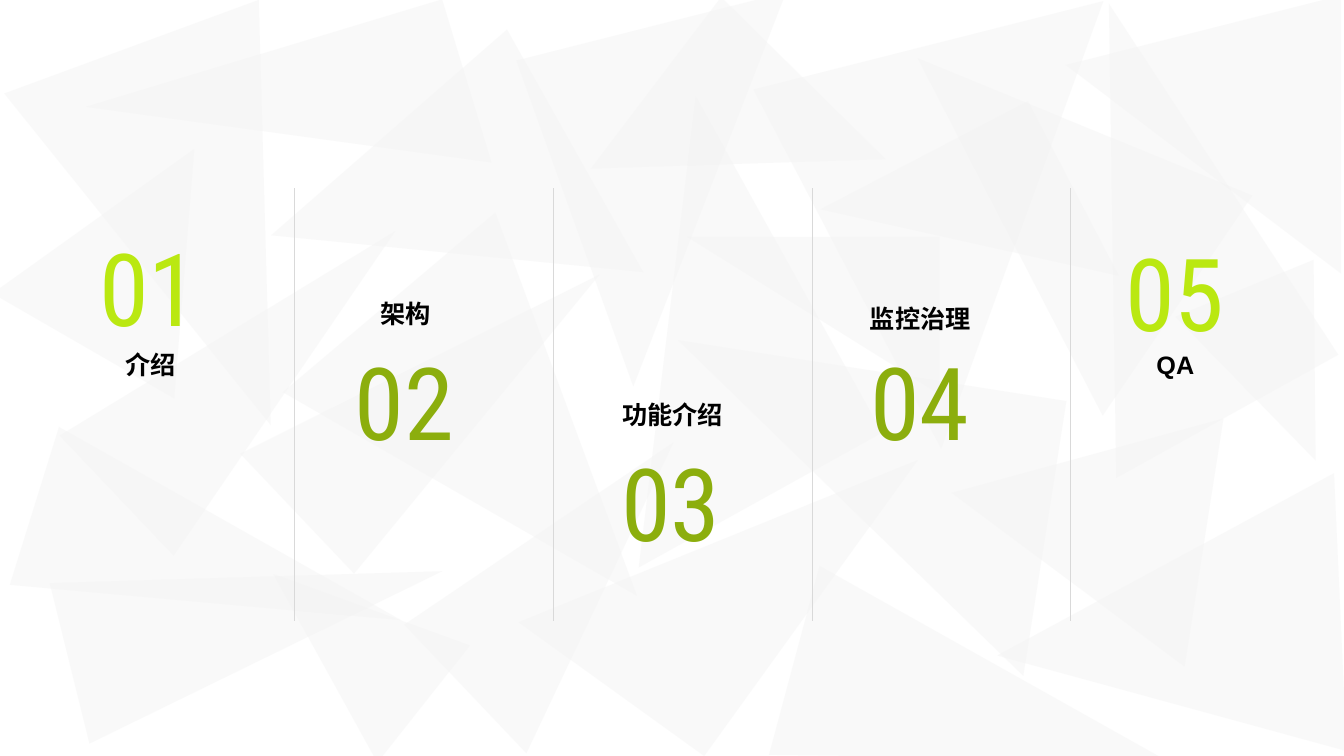
from typing import NamedTuple

from lxml import etree
from pptx import Presentation
from pptx.dml.color import RGBColor
from pptx.enum import shapes, text
from pptx.oxml.ns import qn
from pptx.util import Pt

PALE = RGBColor(0xF2, 0xF2, 0xF2)
GREY = RGBColor(0xD9, 0xD9, 0xD9)
BLACK = RGBColor(0, 0, 0)
LIME = RGBColor(0xBA, 0xE8, 0x11)
OLIVE = RGBColor(0x8C, 0xAE, 0x0D)


class Box(NamedTuple):
    left: float
    top: float
    width: float
    height: float


class Shard(NamedTuple):
    box: Box
    turn: float
    peak: float = 0.5


class Topic(NamedTuple):
    title: str
    color: RGBColor
    digits: Box
    label: Box


SHARDS = [
    Shard(Box(96.5, 265, 118.1, 274.3), 107.3),
    Shard(Box(123.8, 303.8, 118.1, 274.3), 76.1),
    Shard(Box(46.8, 24.5, 193.7, 288), 159.8),
    Shard(Box(123.8, 122.4, 118.1, 274.3), 46.5),
    Shard(Box(352.1, 298.8, 126.7, 229), 46.5, 0.3),
    Shard(Box(267.1, 183.6, 198.7, 274.3), 139.8),
    Shard(Box(679.7, 281.5, 179.3, 183.6), 278.9, 0.54),
    Shard(Box(508.3, 222.5, 198.7, 280.8), 278.9, 1),
    Shard(Box(431.3, 256.3, 163.4, 260.6), 35.8, 1),
    Shard(Box(713.5, 17.3, 181.4, 298.8), 331, 0.88),
    Shard(Box(377.3, 100.1, 198.7, 274.3), 331, 1),
    Shard(Box(437.8, 33.8, 164.9, 152.6), 224.6, 0.88),
    Shard(Box(568.8, 28.1, 257.8, 281.5), 165.8, 0.74),
    Shard(Box(396, 15.1, 198.7, 246.2), 165.8, 0.88),
    Shard(Box(216, 51.8, 198.7, 218.9), 240.7, 0.77),
    Shard(Box(735.1, 319.7, 198.7, 246.2), 267.4, 0.4),
    Shard(Box(524.9, 135.4, 112.3, 180), 270, 1),
    Shard(Box(-25.2, 122.4, 178.6, 135.4), 274.6, 0.36),
    Shard(Box(145.4, -36.7, 121.7, 265.7), 253.2, 1),
    Shard(Box(760.3, -2.2, 198.7, 196.6), 270, 0.75),
    Shard(Box(252.7, 135.4, 118.1, 274.3), 46.5, 0.71),
    Shard(Box(630, 370.1, 139.7, 274.3), 105),
    Shard(Box(861.1, 200.9, 106.6, 133.2), 157.6),
    Shard(Box(193.7, 388.1, 106.6, 141.8), 308.3, 0.56),
    Shard(Box(641.5, 20.9, 190.1, 252.7), 304.2, 0.72),
    Shard(Box(609.1, 103, 167, 140.4), 152.5, 0),
]

SIDE = (136.1, 139.7)
TOPICS = [
    Topic("介绍", LIME, Box(38.2, 134.6, *SIDE), Box(2.9, 247.7, 209.5, 30.2)),
    Topic("架构", OLIVE, Box(221, 216, *SIDE), Box(197.3, 211, 185, 30.2)),
    Topic("功能介绍", OLIVE, Box(411.1, 288, *SIDE), Box(388.1, 283, 185, 30.2)),
    Topic("监控治理", OLIVE, Box(589, 216, *SIDE), Box(564.5, 214.6, 185.8, 44.6)),
    Topic("QA", LIME, Box(771.1, 138.2, *SIDE), Box(747.4, 247.7, 184.3, 55.4)),
]

RULE_LEFT, RULE_STEP = 210.2, 184.8
RULE_TOP, RULE_END = 134.6, 443.5


def add_shard(slide, shard: Shard) -> None:
    """Draw one translucent background triangle."""
    shape = slide.shapes.add_shape(
        shapes.MSO_SHAPE.ISOSCELES_TRIANGLE, *map(Pt, shard.box))
    shape.adjustments[0] = shard.peak
    shape.rotation = shard.turn
    shape.shadow.inherit = False
    shape.line.fill.background()
    shape.fill.solid()
    shape.fill.fore_color.rgb = PALE
    tint = shape.element.spPr.find(f"{qn('a:solidFill')}/{qn('a:srgbClr')}")
    etree.SubElement(tint, qn("a:alpha"), val="42000")


def add_text(slide, box: Box, words: str, face: str, size: float,
             color: RGBColor, bold: bool = False):
    """Add one centred line without insets and return its text frame."""
    frame = slide.shapes.add_textbox(*map(Pt, box)).text_frame
    frame.word_wrap = False
    frame.margin_left = frame.margin_right = 0
    frame.margin_top = frame.margin_bottom = 0
    line = frame.paragraphs[0]
    line.text = words
    line.alignment = text.PP_ALIGN.CENTER
    line.font.name = face
    line.font.size = Pt(size)
    line.font.bold = bold
    line.font.color.rgb = color
    return frame


def add_topic(slide, index: int, topic: Topic) -> None:
    digits = add_text(slide, topic.digits, f"{index:02}", "Roboto Condensed",
                      72, topic.color)
    digits.vertical_anchor = text.MSO_ANCHOR.MIDDLE
    label = add_text(slide, topic.label, topic.title, "Arial", 18, BLACK, True)
    label.paragraphs[0].line_spacing = 1.1


def add_rule(slide, left: float) -> None:
    rule = slide.shapes.add_connector(
        shapes.MSO_CONNECTOR.STRAIGHT,
        Pt(left), Pt(RULE_TOP), Pt(left), Pt(RULE_END))
    rule.line.color.rgb = GREY
    rule.line.width = Pt(0.25)
    etree.SubElement(rule.element.spPr, qn("a:effectLst"))


def main() -> None:
    deck = Presentation()
    deck.slide_width, deck.slide_height = Pt(960), Pt(540)
    slide = deck.slides.add_slide(deck.slide_layouts[6])
    for shard in SHARDS:
        add_shard(slide, shard)
    for index, topic in enumerate(TOPICS, 1):
        add_topic(slide, index, topic)
    for gap in range(len(TOPICS) - 1):
        add_rule(slide, RULE_LEFT + gap * RULE_STEP)
    deck.save("out.pptx")


if __name__ == "__main__":
    main()
